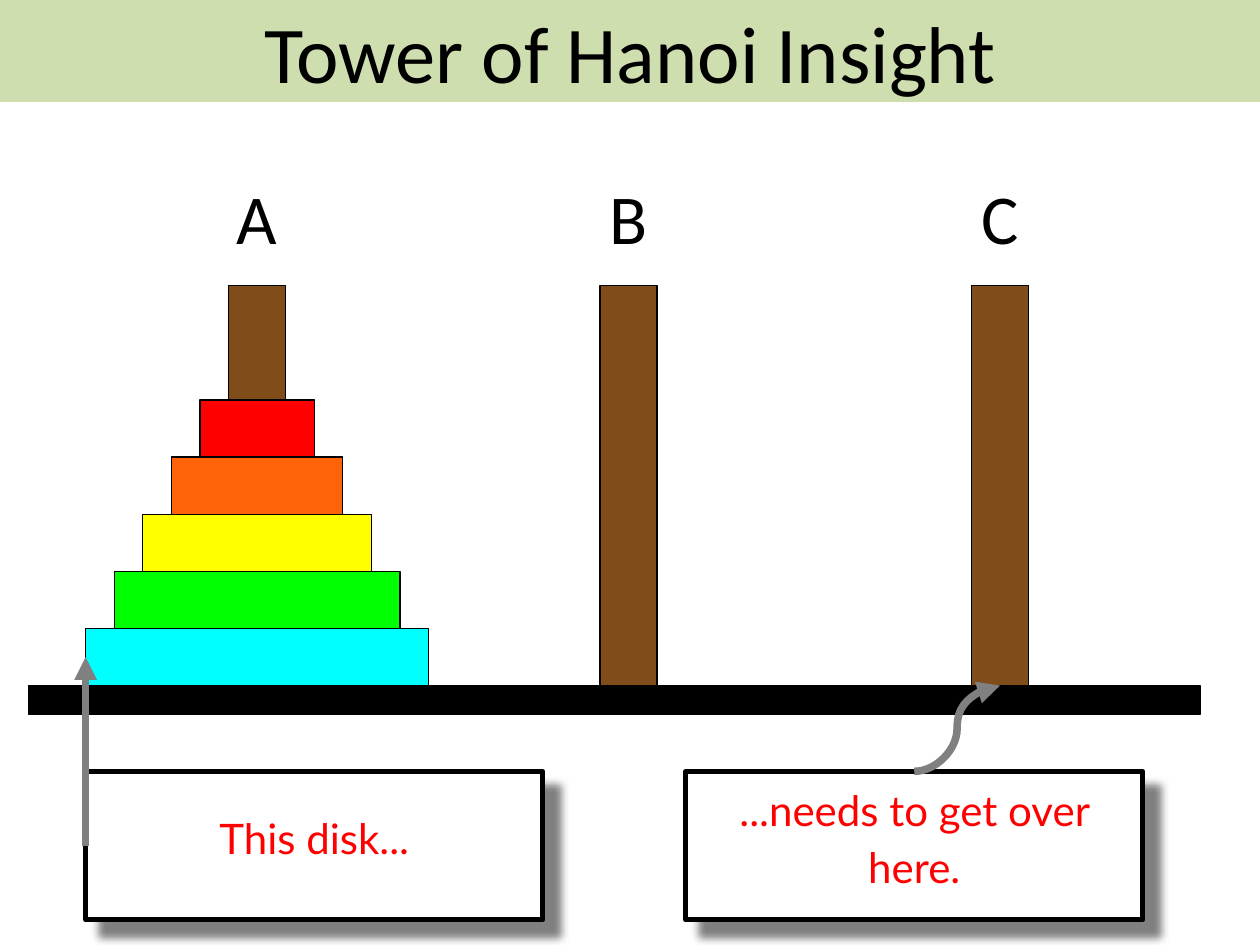
from lxml import etree
from pptx import Presentation
from pptx import util as u
from pptx.dml.color import RGBColor
from pptx.enum import shapes as es, text as et
from pptx.oxml.ns import qn

WIDE, HIGH = 10, 7.5
CELL = WIDE / 44.1  # side of one grid square
DISK = 2            # disk height in rows
FLOOR = 24          # row on which pegs and disks stand

COLORS = {
    "black": "000000", "white": "FFFFFF", "gray": "808080",
    "wood": "804C19", "band": "C3D69B", "red": "FF0000",
    "orange": "FF6309", "yellow": "FFFF00", "green": "00FF00",
    "cyan": "00FFFF",
}
PEGS = {"A": 8, "B": 21, "C": 34}
DISKS = ["cyan", "green", "yellow", "orange", "red"]


def rgb(name):
    return RGBColor.from_string(COLORS[name])


def grid(*cells):
    return [u.Inches(n * CELL) for n in cells]


def sub(parent, tag, **attrs):
    return etree.SubElement(parent, qn(tag), attrs)


def write(shape, words, size, font="Calibri", color="black", wrap=True,
          anchor=et.MSO_ANCHOR.MIDDLE, space=1, inset=(0.1, 0.05, 0.1, 0.05)):
    """Put one centred paragraph in a shape; inset is left, top, right, bottom."""
    frame = shape.text_frame
    frame.word_wrap = wrap
    frame.vertical_anchor = anchor
    (frame.margin_left, frame.margin_top,
     frame.margin_right, frame.margin_bottom) = map(u.Inches, inset)
    para = frame.paragraphs[0]
    para.alignment = et.PP_ALIGN.CENTER
    para.line_spacing = space
    run = para.add_run()
    run.text = words
    run.font.name, run.font.size = font, u.Pt(size)
    run.font.color.rgb = rgb(color)


def block(slide, place, fill, line="black", width=0.75):
    rect = slide.shapes.add_shape(es.MSO_SHAPE.RECTANGLE, *place)
    rect.shadow.inherit = False
    rect.fill.solid()
    rect.fill.fore_color.rgb = rgb(fill)
    if line:
        rect.line.color.rgb = rgb(line)
        rect.line.width = u.Pt(width)
    else:
        rect.line.fill.background()
    return rect


def shade(shape):
    """Give a shape a gray shadow, down and to the right."""
    effects = shape._element.spPr.find(qn("a:effectLst"))
    cast = sub(effects, "a:outerShdw", blurRad=str(u.Pt(5)),
               dist=str(u.Pt(12.2)), dir=str(45 * 60000),
               algn="tl", rotWithShape="0")
    sub(cast, "a:srgbClr", val=COLORS["gray"])


def arrow(slide, kind, start, end):
    link = slide.shapes.add_connector(kind, *grid(*start), *grid(*end))
    link.line.color.rgb = rgb("gray")
    link.line.width = u.Pt(4.31)
    sub(link.line._get_or_add_ln(), "a:tailEnd", type="triangle")
    sub(link._element.spPr, "a:effectLst")
    return link


def label(slide, words, col):
    box = slide.shapes.add_textbox(*grid(col - 1, 6, 4, 3))
    write(box, words, 40, wrap=False, inset=(0.09, 0.08, 0.09, 0.04))


def note(slide, words, col, top):
    box = block(slide, grid(col, 27, 16, 5.2), "white", width=2.89)
    shade(box)
    write(box, words, 24, font="Lato", color="red", space=1.12,
          anchor=et.MSO_ANCHOR.TOP, inset=(0.11, top, 0.11, 0.06))
    return box


def tower(slide):
    """Draw pegs, disks, floor and labels; return the bottom disk."""
    for col in PEGS.values():
        block(slide, grid(col, FLOOR - 14, 2, 14), "wood")
    disks = [block(slide, grid(3 + i, FLOOR - DISK * (i + 1), 12 - 2 * i, DISK),
                   color) for i, color in enumerate(DISKS)]
    block(slide, grid(1, FLOOR, 41, 1), "black")
    for name, col in PEGS.items():
        label(slide, name, col)
    return disks[0]


def title(slide, words):
    band = block(slide, (0, 0, u.Inches(WIDE), u.Inches(0.81)), "band", line=None)
    tint = band._element.spPr.find(qn("a:solidFill"))[0]
    sub(tint, "a:alpha", val="80000")
    write(band, words, 46)


def main():
    deck = Presentation()
    deck.slide_width, deck.slide_height = u.Inches(WIDE), u.Inches(HIGH)
    slide = deck.slides.add_slide(deck.slide_layouts[6])

    disk = tower(slide)
    this = note(slide, "This disk...", 3, 0.28)
    link = arrow(slide, es.MSO_CONNECTOR.STRAIGHT, (3, 29.6), (3, 23))
    link.begin_connect(this, 1)
    link.end_connect(disk, 1)
    note(slide, "...needs to get over here.", 24, 0.06)
    arrow(slide, es.MSO_CONNECTOR.CURVE, (32, 27), (PEGS["C"] + 1, FLOOR))
    title(slide, "Tower of Hanoi Insight")

    deck.save("out.pptx")


if __name__ == "__main__":
    main()
